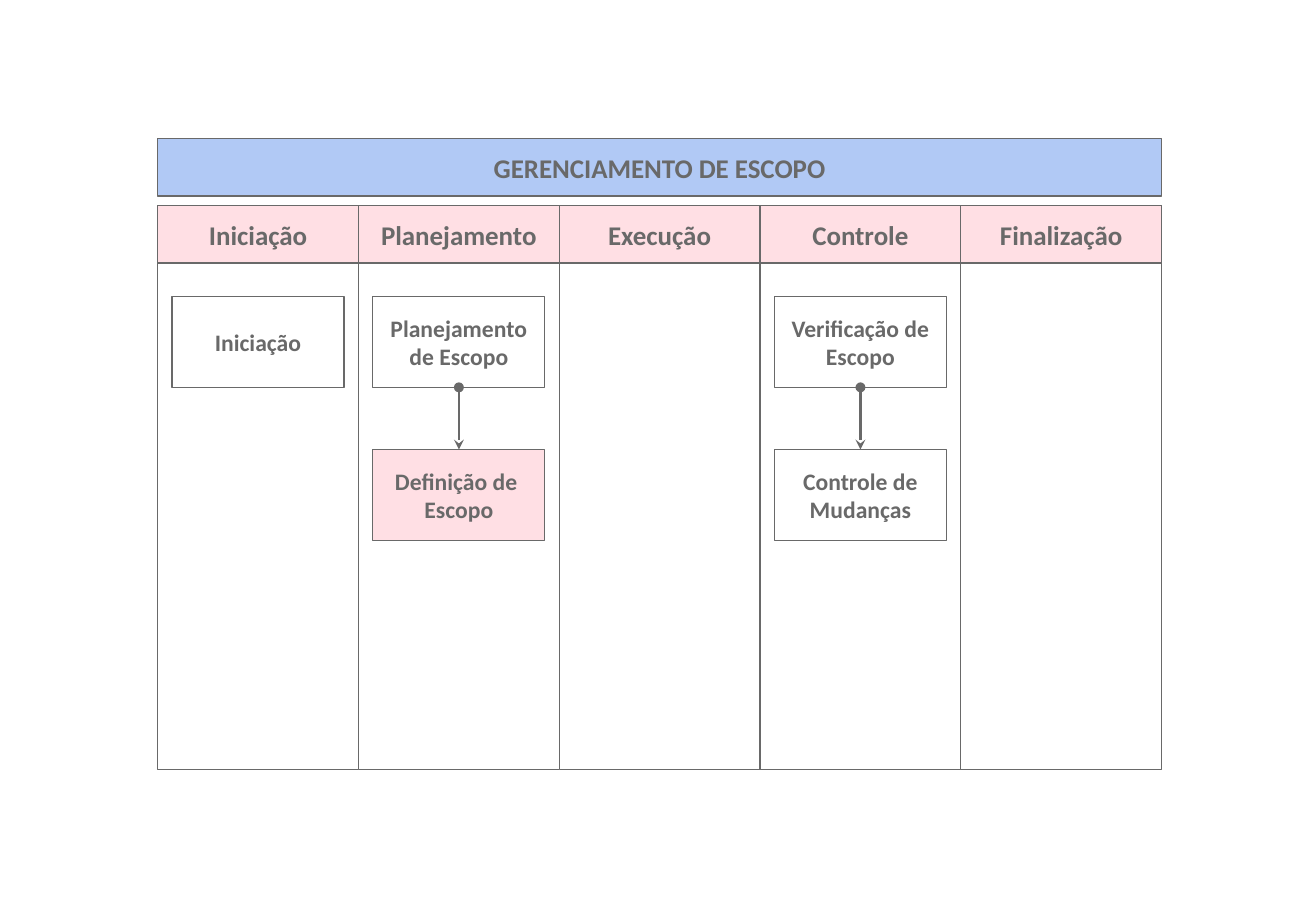
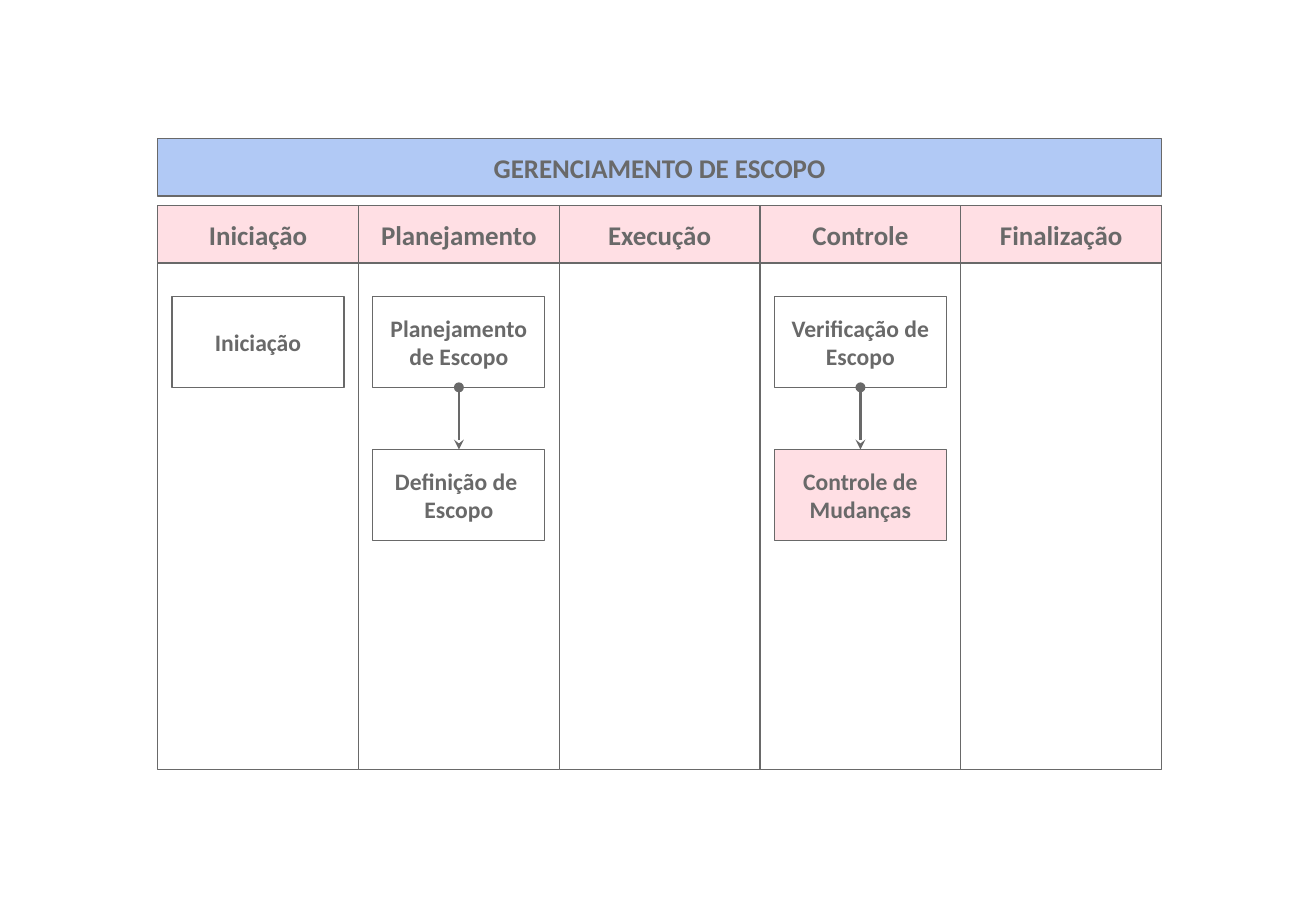
from lxml.etree import SubElement
from pptx import Presentation
from pptx.dml.color import RGBColor
from pptx.enum.shapes import MSO_CONNECTOR, MSO_SHAPE
from pptx.enum.text import MSO_ANCHOR, PP_ALIGN
from pptx.oxml.ns import qn
from pptx.util import Cm, Pt

COLOURS = {"grey": "696969", "white": "FFFFFF", "pink": "FFC0CB", "blue": "6495ED"}
TINTS = ("pink", "blue")
FONT = {"name": "Calibri", "bold": True}
FRAME = {
    "word_wrap": False,
    "vertical_anchor": MSO_ANCHOR.MIDDLE,
    "margin_left": Cm(0.25),
    "margin_right": Cm(0.25),
    "margin_top": Cm(0.13),
    "margin_bottom": Cm(0.13),
}

LEFT, TITLE_TOP, COLUMN_TOP = 3.3, 2.9, 4.3
COLUMN_WIDTH, COLUMN_HEIGHT, BAND_HEIGHT = 4.2, 11.8, 1.2
STEP_TOP, STEP_WIDTH, STEP_HEIGHT, STEP_PITCH = 6.2, 3.6, 1.9, 3.2
STEP_INSET = (COLUMN_WIDTH - STEP_WIDTH) / 2

PHASES = {
    "Iniciação": ["Iniciação"],
    "Planejamento": ["Planejamento\nde Escopo", "Definição de \nEscopo"],
    "Execução": [],
    "Controle": ["Verificação de\nEscopo", "Controle de\nMudanças"],
    "Finalização": [],
}
HIGHLIGHTS = ["Definição de \nEscopo", "Controle de\nMudanças"]


def add_box(page, left, top, width, height, colour, text="", size=16):
    box = page.shapes.add_shape(
        MSO_SHAPE.RECTANGLE, Cm(left), Cm(top), Cm(width), Cm(height)
    )
    box.shadow.inherit = False
    box.fill.solid()
    box.fill.fore_color.rgb = RGBColor.from_string(COLOURS[colour])
    if colour in TINTS:
        tint = box.fill._xPr.find(".//" + qn("a:srgbClr"))
        SubElement(tint, qn("a:alpha"), val="50000")
    box.line.color.rgb = RGBColor.from_string(COLOURS["grey"])
    box.line.width = Pt(0)
    if text:
        frame = box.text_frame
        for name, value in FRAME.items():
            setattr(frame, name, value)
        frame.text = text
        for para in frame.paragraphs:
            para.alignment = PP_ALIGN.CENTER
            for span in para.runs:
                for name, value in FONT.items():
                    setattr(span.font, name, value)
                span.font.size = Pt(size)
                span.font.color.rgb = RGBColor.from_string(COLOURS["grey"])
    return box


def add_arrow(page, upper, lower):
    arrow = page.shapes.add_connector(MSO_CONNECTOR.STRAIGHT, 0, 0, 0, 0)
    arrow.begin_connect(upper, 2)
    arrow.end_connect(lower, 0)
    arrow.line.color.rgb = RGBColor.from_string(COLOURS["grey"])
    arrow.line.width = Pt(1.42)
    outline = arrow.line._get_or_add_ln()
    SubElement(outline, qn("a:headEnd"), type="oval")
    SubElement(outline, qn("a:tailEnd"), type="stealth")
    SubElement(arrow._element.spPr, qn("a:effectLst"))


deck = Presentation()
deck.slide_width, deck.slide_height = Cm(27.53), Cm(19.05)

for highlight in HIGHLIGHTS:
    page = deck.slides.add_slide(deck.slide_layouts[6])
    for column, (phase, steps) in enumerate(PHASES.items()):
        left = LEFT + column * COLUMN_WIDTH
        add_box(page, left, COLUMN_TOP, COLUMN_WIDTH, COLUMN_HEIGHT, "white")
        add_box(page, left, COLUMN_TOP, COLUMN_WIDTH, BAND_HEIGHT, "pink", phase)
        boxes = [
            add_box(
                page, left + STEP_INSET, STEP_TOP + row * STEP_PITCH,
                STEP_WIDTH, STEP_HEIGHT,
                "pink" if step == highlight else "white", step, 14,
            )
            for row, step in enumerate(steps)
        ]
        for upper, lower in zip(boxes, boxes[1:]):
            add_arrow(page, upper, lower)
    add_box(
        page, LEFT, TITLE_TOP, len(PHASES) * COLUMN_WIDTH, BAND_HEIGHT,
        "blue", "GERENCIAMENTO DE ESCOPO",
    )

deck.save("out.pptx")
